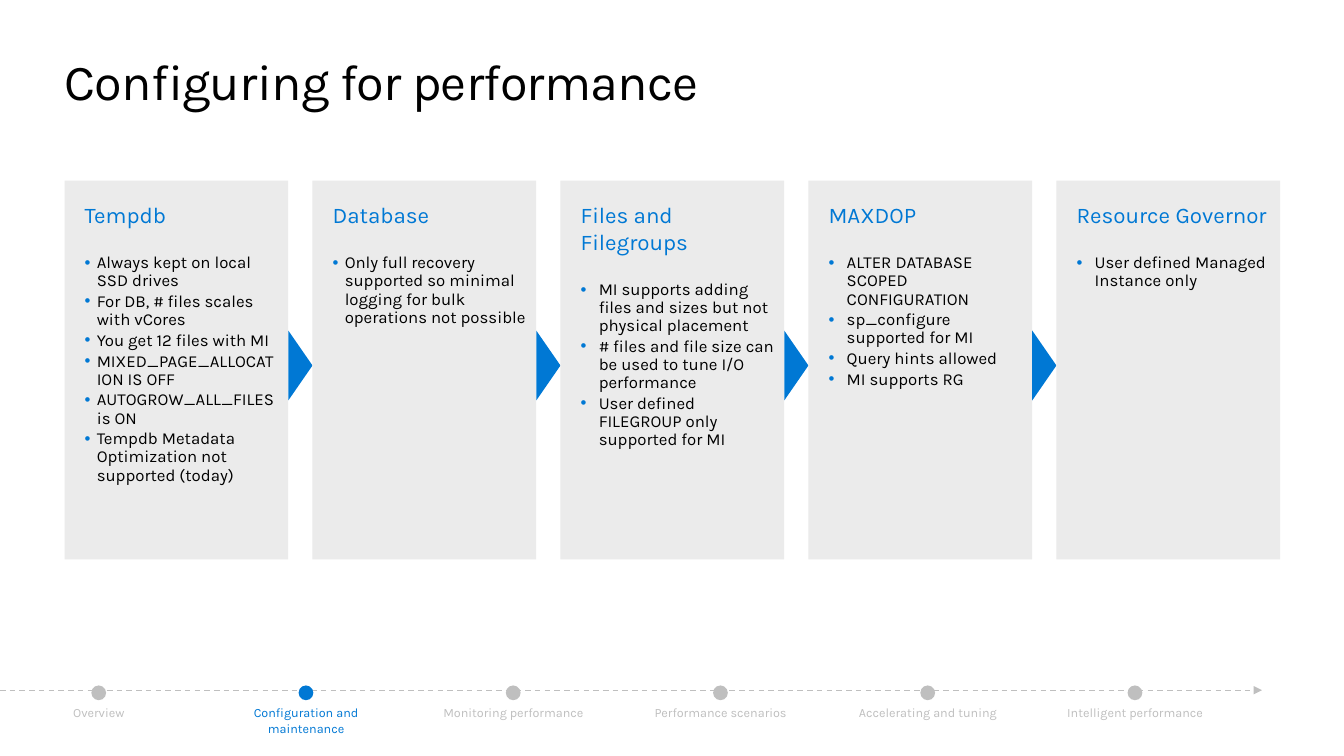
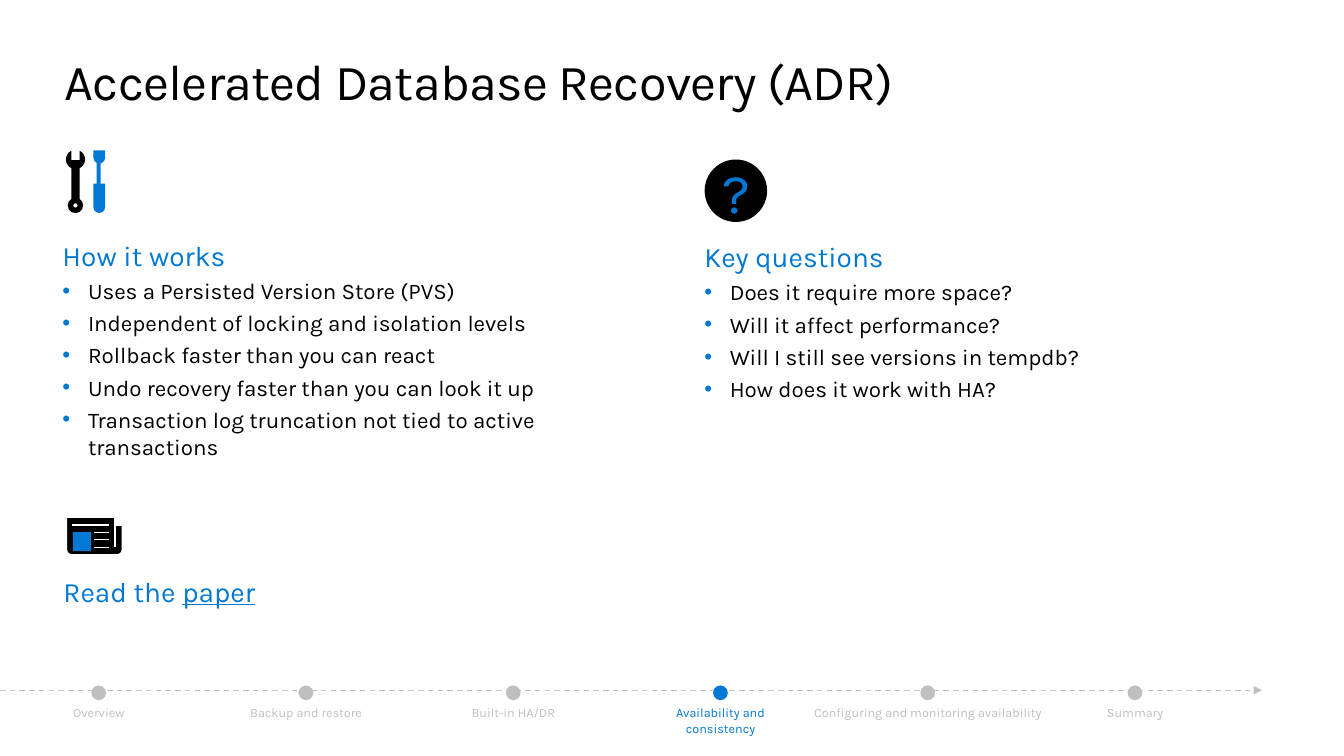
from math import cos, radians, sin
from lxml.etree import SubElement
from pptx import Presentation
from pptx.dml.color import RGBColor
from pptx.enum.dml import MSO_LINE
from pptx.enum.shapes import MSO_CONNECTOR as Link, MSO_SHAPE as Form
from pptx.enum.text import MSO_ANCHOR as Anchor, PP_ALIGN as Align
from pptx.oxml.ns import qn
from pptx.util import Inches, Pt

BLUE = RGBColor(0x00, 0x78, 0xD4)
BLACK = RGBColor(0x00, 0x00, 0x00)
WHITE = RGBColor(0xFF, 0xFF, 0xFF)
PALE = RGBColor(0xEB, 0xEB, 0xEB)
GRAY = RGBColor(0xBF, 0xBF, 0xBF)
FONT = "Karla"

deck = Presentation()
deck.slide_width = Inches(13.33)
deck.slide_height = Inches(7.5)
COL = deck.slide_width / 100
ROW = deck.slide_height / 100
RATIO = deck.slide_width / deck.slide_height


def put(page, kind, x, y, wide, high, fill=None):
    area = [round(v) for v in (x * COL, y * ROW, wide * COL, high * ROW)]
    if isinstance(kind, Link):
        left, top, w, h = area
        item = page.shapes.add_connector(kind, left, top, left + w, top + h)
        item.line.color.rgb = fill
        item.line.width = Pt(1)
        SubElement(item.line._get_or_add_ln().getparent(), qn("a:effectLst"))
        return item
    if kind is None:
        item = page.shapes.add_textbox(*area)
    else:
        item = page.shapes.add_shape(kind, *area)
        item.shadow.inherit = False
        item.fill.solid()
        item.fill.fore_color.rgb = fill
        item.line.fill.background()
    frame = item.text_frame
    frame.word_wrap = True
    frame.vertical_anchor = Anchor.TOP
    frame.margin_left = frame.margin_top = frame.margin_right = frame.margin_bottom = 0
    return item


def say(frame, text, size=16, color=BLACK, align=Align.LEFT, before=0, after=0,
        lead=1.0, hang=0, track=0, under=False, join=False):
    para = frame.paragraphs[-1]
    if para.runs and not join:
        para = frame.add_paragraph()
    para.alignment = align
    para.line_spacing = lead
    para.space_before = Pt(before)
    para.space_after = Pt(after)
    if hang:
        props = para._p.get_or_add_pPr()
        props.set("marL", str(round(hang * COL)))
        props.set("indent", str(-round(hang * COL)))
        tint = SubElement(props, qn("a:buClr"))
        SubElement(tint, qn("a:srgbClr"), val=str(BLUE))
        SubElement(props, qn("a:buFont"), typeface="Arial")
        SubElement(props, qn("a:buChar"), char="•")
    run = para.add_run()
    run.text = text
    run.font.name = FONT
    run.font.size = Pt(size)
    run.font.color.rgb = color
    if under:
        run.font.underline = True
    if track:
        run.font._element.set("spc", str(track))


heads = [
    ("Configuring for performance", 1,
     ["Overview", "Configuration and maintenance", "Monitoring performance",
      "Performance scenarios", "Accelerating and tuning", "Intelligent performance"]),
    ("Accelerated Database Recovery (ADR)", 3,
     ["Overview", "Backup and restore", "Built-in HA/DR", "Availability and consistency",
      "Configuring and monitoring availability", "Summary"]),
]
DOT = 1.1
pages = []
for title, now, steps in heads:
    page = deck.slides.add_slide(deck.slide_layouts[6])
    pages.append(page)
    say(put(page, None, 4.8, 6.67, 90.4, 8.13).text_frame, title, size=36, track=-50)
    axis = put(page, Link.STRAIGHT, 0, 91.3, 93.9, 0, GRAY)
    axis.line.dash_style = MSO_LINE.DASH
    SubElement(axis.line._get_or_add_ln(), qn("a:tailEnd"), type="triangle")
    for i, step in enumerate(steps):
        mid = 7.35 + 15.42 * i
        tone = BLUE if i == now else GRAY
        wide = 17.4 if len(step) > 30 else 11.8
        put(page, Form.OVAL, mid - DOT / 2, 90.67, DOT, DOT * RATIO, tone)
        label = put(page, None, mid - wide / 2, 93.3, wide, 2)
        say(label.text_frame, step, size=9, color=tone, align=Align.CENTER)

tune, adr = pages

cards = [
    ("Tempdb", 0.9,
     ["Always kept on local SSD drives", "For DB, # files scales with vCores",
      "You get 12 files with MI", "MIXED_PAGE_ALLOCATION IS OFF",
      "AUTOGROW_ALL_FILES is ON", "Tempdb Metadata Optimization not supported (today)"]),
    ("Database", 0.9,
     ["Only full recovery supported so minimal logging for bulk operations not possible"]),
    ("Files and Filegroups", 1.35,
     ["MI supports adding files and sizes but not physical placement",
      "# files and file size can be used to tune I/O performance",
      "User defined FILEGROUP only supported for MI"]),
    ("MAXDOP", 1.35,
     ["ALTER DATABASE SCOPED CONFIGURATION", "sp_configure supported for MI",
      "Query hints allowed", "MI supports RG"]),
    ("Resource Governor", 1.35, ["User defined Managed Instance only"]),
]
WIDE, GAP = 16.65, 1.8
TOP, HIGH = 23.9, 50.1
for i, (head, hang, points) in enumerate(cards):
    left = 4.8 + i * (WIDE + GAP)
    frame = put(tune, Form.RECTANGLE, left, TOP, WIDE, HIGH, PALE).text_frame
    frame.margin_left = round(1.5 * COL)
    frame.margin_top = round(2.67 * ROW)
    frame.margin_right = round(0.75 * COL)
    frame.margin_bottom = round(1.33 * ROW)
    say(frame, head, color=BLUE)
    for j, point in enumerate(points):
        say(frame, point, size=12, before=0 if j else 19, after=1.8, lead=0.9, hang=hang)
    if i < len(cards) - 1:
        base, tall = 5.2, GAP * RATIO
        mid = left + WIDE + GAP / 2
        arrow = put(tune, Form.ISOSCELES_TRIANGLE, mid - base / 2,
                    TOP + HIGH / 2 - tall / 2 - 0.6, base, tall, BLUE)
        arrow.rotation = 90

lists = [
    (4.65, 31.5, 44.5, "How it works",
     ["Uses a Persisted Version Store (PVS)", "Independent of locking and isolation levels",
      "Rollback faster than you can react", "Undo recovery faster than you can look it up",
      "Transaction log truncation not tied to active transactions"]),
    (52.4, 31.7, 47.6, "Key questions",
     ["Does it require more space?", "Will it affect performance?",
      "Will I still see versions in tempdb?", "How does it work with HA?"]),
]
for x, y, wide, head, points in lists:
    frame = put(adr, None, x, y, wide, 26).text_frame
    say(frame, head, size=20, color=BLUE)
    for point in points:
        say(frame, point, before=3.8, hang=1.9)

frame = put(adr, None, 4.72, 76, 14.5, 4.5).text_frame
say(frame, "Read the ", size=20, color=BLUE)
say(frame, "paper", size=20, color=BLUE, under=True, join=True)

put(adr, Form.RECTANGLE, 7.2, 21.47, 0.3, 3.07, BLUE)
for y, high in ((19.9, 1.73), (24.3, 3.87)):
    grip = put(adr, Form.ROUND_2_SAME_RECTANGLE, 6.95, y, 0.87, high, BLUE)
    grip.adjustments[0] = 0.5
    grip.rotation = 180
put(adr, Form.RECTANGLE, 5.32, 21.6, 0.6, 5.07, BLACK)
ring = put(adr, Form.DONUT, 5.04, 26.15, 1.15, 1.15 * RATIO, BLACK)
ring.adjustments[0] = 0.36

jaw = [(5.62 + 0.71 * cos(radians(a)), 21.1 + 1.27 * sin(radians(a)))
       for a in range(-65, 246, 10)]
jaw += [(5.32, 21.2), (5.92, 21.2)]
paper = [(4.95, 68.4), (8.55, 68.4), (8.55, 69.47), (9.1, 69.47)]
for x, start in ((8.72, 0), (5.33, 90)):
    paper += [(x + 0.38 * cos(radians(a)), 72.7 + 0.68 * sin(radians(a)))
              for a in range(start, start + 91, 15)]
for points, edge in ((jaw, None), (paper, WHITE)):
    dots = [(round(x * COL), round(y * ROW)) for x, y in points]
    pen = adr.shapes.build_freeform(*dots[0])
    pen.add_line_segments(dots[1:], close=True)
    icon = pen.convert_to_shape()
    icon.shadow.inherit = False
    icon.fill.solid()
    icon.fill.fore_color.rgb = BLACK
    if edge:
        icon.line.color.rgb = edge
        icon.line.width = Pt(1)
    else:
        icon.line.fill.background()

rules = [(5.35, 69.47, 2.75, 0), (8.55, 69.47, 0, 2.95)]
rules += [(6.98, 70.4 + i, 1.12, 0) for i in range(3)]
for rule in rules:
    put(adr, Link.STRAIGHT, *rule, WHITE)
put(adr, Form.RECTANGLE, 5.43, 70.4, 1.36, 2.5, BLUE)

put(adr, Form.OVAL, 52.43, 21.1, 4.65, 4.65 * RATIO, BLACK)
say(put(adr, None, 53.78, 20.8, 1.95, 8.93).text_frame, "?", size=40, color=BLUE)

deck.save("out.pptx")
